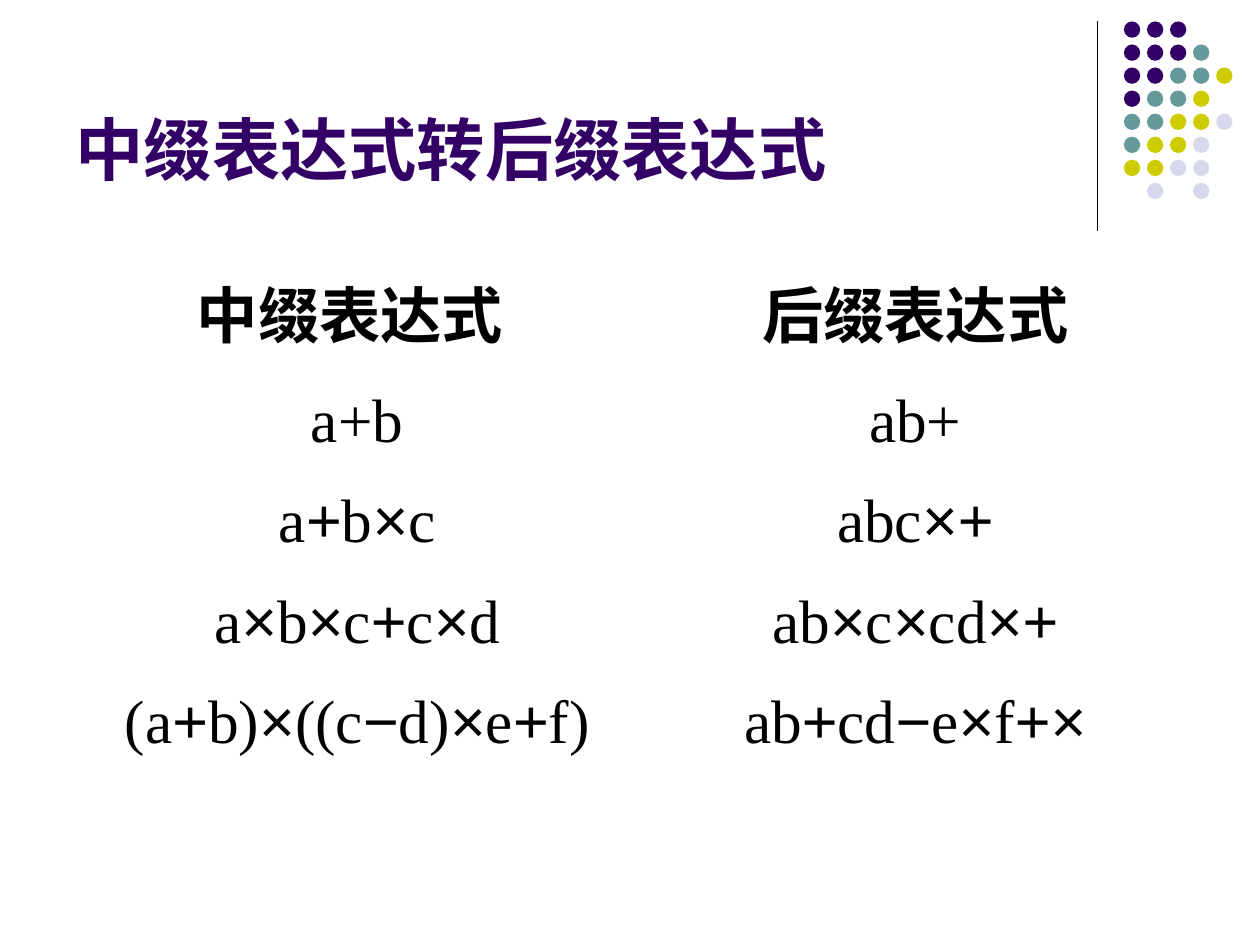
from dataclasses import dataclass
from itertools import groupby

from pptx import Presentation
from pptx.dml.color import RGBColor
from pptx.enum.shapes import MSO_CONNECTOR, MSO_SHAPE
from pptx.enum.text import MSO_ANCHOR, MSO_AUTO_SIZE, PP_ALIGN
from pptx.oxml.ns import qn
from pptx.util import Inches, Pt
from lxml.etree import SubElement


@dataclass(frozen=True)
class Theme:
    purple: str = "330066"
    teal: str = "669999"
    olive: str = "CCCC00"
    lilac: str = "D8D8EC"
    black: str = "000000"
    white: str = "FFFFFF"
    sans: str = "Arial"
    serif: str = "Times New Roman"
    title_size: int = 39
    cell_size: int = 35
    line_spacing: int = 50


@dataclass(frozen=True)
class Row:
    infix: str
    postfix: str
    bold: bool = False
    sans_operators: bool = True


THEME = Theme()
OPERATORS = "+−×"
ROWS = [
    Row("中缀表达式 ", "后缀表达式", bold=True),
    Row("a+b", "ab+", sans_operators=False),
    Row("a+b×c", "abc×+"),
    Row("a×b×c+c×d", "ab×c×cd×+"),
    Row("(a+b)×((c−d)×e+f)", "ab+cd−e×f+×"),
]

# One letter per dot: purple, teal, olive, lilac
DOT_COLORS = {"P": THEME.purple, "T": THEME.teal, "O": THEME.olive, "L": THEME.lilac}
DOTS = ["PPP", "PPPT", "PPTTO", "PTTO", "TTOOL", "TOOL", "OOLL", " L L"]


def add_run(p, text: str, color: str, **formats) -> None:
    r = p.add_run()
    r.text = text
    r.font.color.rgb = RGBColor.from_string(color)
    for name, value in formats.items():
        setattr(r.font, name, value)


def add_title(s, text: str) -> None:
    sp = s.shapes.title
    box = {"left": 0.5, "top": 0.13, "width": 8.25, "height": 1.42}
    for name, value in box.items():
        setattr(sp, name, Inches(value))
    tf = sp.text_frame
    formats = {"auto_size": MSO_AUTO_SIZE.NONE, "word_wrap": True,
               "vertical_anchor": MSO_ANCHOR.BOTTOM}
    for name, value in formats.items():
        setattr(tf, name, value)
    p = tf.paragraphs[0]
    p.alignment = PP_ALIGN.LEFT
    add_run(p, text, THEME.purple, name=THEME.sans, size=Pt(THEME.title_size), bold=True)


def add_rule(s) -> None:
    x = Inches(8.71)
    line = s.shapes.add_connector(MSO_CONNECTOR.STRAIGHT, x, Inches(0.17), x, Inches(1.83))
    line.line.color.rgb = RGBColor.from_string(THEME.black)
    line.line.width = Pt(0.75)
    SubElement(line._element.spPr, qn("a:effectLst"))


def add_dots(s) -> None:
    group = s.shapes.add_group_shape()
    pitch, size = 0.183, Inches(0.13)
    for i, row in enumerate(DOTS):
        for j, key in enumerate(row):
            if key == " ":
                continue
            sp = group.shapes.add_shape(MSO_SHAPE.OVAL, Inches(8.92 + j * pitch),
                                        Inches(0.17 + i * pitch), size, size)
            sp.shadow.inherit = False
            sp.fill.solid()
            sp.fill.fore_color.rgb = RGBColor.from_string(DOT_COLORS[key])
            sp.line.fill.background()


def set_borders(cell, widths: dict[str, float]) -> None:
    tc_pr = cell._tc.get_or_add_tcPr()
    for side, width in widths.items():
        ln = SubElement(tc_pr, qn(f"a:{side}"), w=str(Pt(width)))
        fill = SubElement(ln, qn("a:solidFill"))
        SubElement(fill, qn("a:srgbClr"), val=THEME.white)


def fill_cell(cell, text: str, row: Row) -> None:
    p = cell.text_frame.paragraphs[0]
    p.alignment = PP_ALIGN.CENTER
    p.line_spacing = Pt(THEME.line_spacing)
    # Operators get their own font, so split the text around them
    for is_sans, chars in groupby(text, lambda c: row.sans_operators and c in OPERATORS):
        add_run(p, "".join(chars), THEME.black, size=Pt(THEME.cell_size), bold=row.bold,
                name=THEME.sans if is_sans else THEME.serif)


def add_expressions(s) -> None:
    frame = s.shapes.add_table(len(ROWS), 2, Inches(0.63), Inches(2.08),
                               Inches(8.86), Inches(3.97))
    table = frame.table
    table.first_row = table.horz_banding = False
    for col, width in zip(table.columns, (4.41, 4.45)):
        col.width = Inches(width)
    thin, thick = 0.45, 1.47
    for i, row in enumerate(ROWS):
        widths = {"lnL": thin, "lnR": thin,
                  "lnT": thick if i == 1 else thin,
                  "lnB": thick if i == 0 else thin}
        for j, text in enumerate((row.infix, row.postfix)):
            cell = table.cell(i, j)
            set_borders(cell, widths)
            cell.fill.background()
            fill_cell(cell, text, row)


def main() -> None:
    prs = Presentation()
    prs.slide_width, prs.slide_height = Inches(10), Inches(7.5)
    s = prs.slides.add_slide(prs.slide_layouts[5])
    # Corner decoration
    add_rule(s)
    add_dots(s)
    # Content
    add_title(s, "中缀表达式转后缀表达式")
    add_expressions(s)
    prs.save("out.pptx")


if __name__ == "__main__":
    main()
